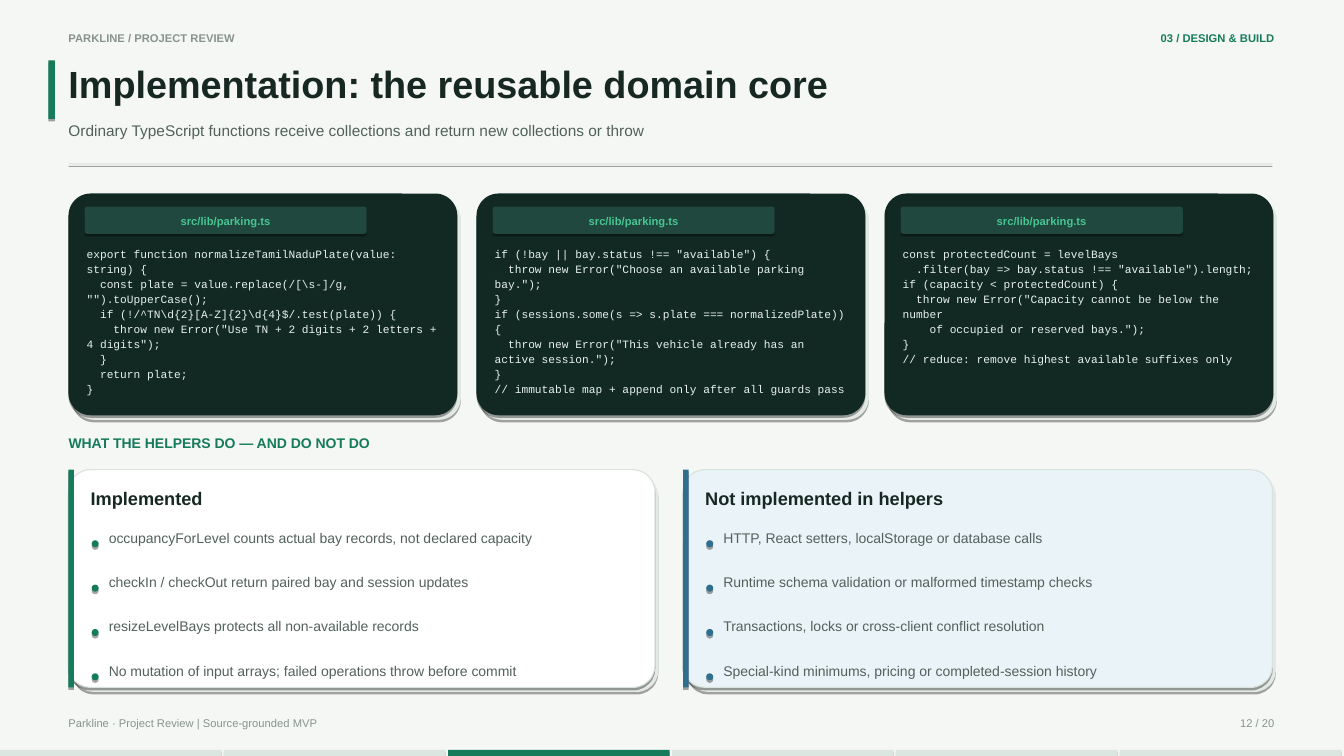
from lxml.etree import SubElement
from pptx import Presentation
from pptx.dml.color import RGBColor
from pptx.enum.shapes import MSO_SHAPE
from pptx.enum.text import MSO_ANCHOR, PP_ALIGN
from pptx.oxml.ns import qn
from pptx.util import Inches, Pt

COLORS = {
    "page": "F5F7F5", "ink": "172823", "body": "52615B", "muted": "88938F",
    "green": "157B5B", "blue": "2E6F8E", "rule": "D9E2DD", "segment": "DCE6E0",
    "backing": "E2E9E4", "white": "FFFFFF", "pale_blue": "EAF3F7",
    "code_panel": "122923", "tab": "21483E", "tab_text": "46C692",
    "code": "E8F1ED", "shadow": "000000",
}
COLUMNS, ROWS = 133.4, 75
LEFT, RIGHT = 6.8, 126.3
CODE_PANELS = [
    r'''export function normalizeTamilNaduPlate(value: string) {
  const plate = value.replace(/[\s-]/g, "").toUpperCase();
  if (!/^TN\d{2}[A-Z]{2}\d{4}$/.test(plate)) {
    throw new Error("Use TN + 2 digits + 2 letters + 4 digits");
  }
  return plate;
}''',
    '''if (!bay || bay.status !== "available") {
  throw new Error("Choose an available parking bay.");
}
if (sessions.some(s => s.plate === normalizedPlate)) {
  throw new Error("This vehicle already has an active session.");
}
// immutable map + append only after all guards pass''',
    '''const protectedCount = levelBays
  .filter(bay => bay.status !== "available").length;
if (capacity < protectedCount) {
  throw new Error("Capacity cannot be below the number
    of occupied or reserved bays.");
}
// reduce: remove highest available suffixes only''',
]
IMPLEMENTED = [
    "occupancyForLevel counts actual bay records, not declared capacity",
    "checkIn / checkOut return paired bay and session updates",
    "resizeLevelBays protects all non-available records",
    "No mutation of input arrays; failed operations throw before commit",
]
NOT_IMPLEMENTED = [
    "HTTP, React setters, localStorage or database calls",
    "Runtime schema validation or malformed timestamp checks",
    "Transactions, locks or cross-client conflict resolution",
    "Special-kind minimums, pricing or completed-session history",
]


def color(name):
    return RGBColor.from_string(COLORS[name])


class SlideBuilder:
    """Draws on one slide; lengths are grid columns and rows of 0.1 inch."""

    cell = Inches(0.1)

    def __init__(self, deck):
        deck.slide_width = self.length(COLUMNS)
        deck.slide_height = self.length(ROWS)
        self.page = deck.slides.add_slide(deck.slide_layouts[6])
        self.page.background.fill.solid()
        self.page.background.fill.fore_color.rgb = color("page")

    def length(self, cells):
        return round(cells * self.cell)

    def place(self, *cells):
        return [self.length(value) for value in cells]

    def text(self, content, left, top, width, height, size=10, ink="body",
             bold=False, font="Arial", align=PP_ALIGN.LEFT,
             anchor=MSO_ANCHOR.TOP, spacing=1.08):
        box = self.page.shapes.add_textbox(*self.place(left, top, width, height))
        frame = box.text_frame
        frame.word_wrap = True
        frame.vertical_anchor = anchor
        frame.margin_left = frame.margin_right = 0
        frame.margin_top = frame.margin_bottom = 0
        for index, line in enumerate(content.split("\n")):
            para = frame.add_paragraph() if index else frame.paragraphs[0]
            para.alignment = align
            para.line_spacing = spacing
            span = para.add_run()
            span.text = line
            span.font.name = font
            span.font.size = Pt(size)
            span.font.bold = bold
            span.font.color.rgb = color(ink)

    def block(self, left, top, width, height, fill,
              kind=MSO_SHAPE.RECTANGLE, line=None):
        shape = self.page.shapes.add_shape(
            kind, *self.place(left, top, width, height))
        if kind == MSO_SHAPE.ROUNDED_RECTANGLE:
            shape.adjustments[0] = 0.1
        shape.fill.solid()
        shape.fill.fore_color.rgb = color(fill)
        if line:
            shape.line.color.rgb = color(line)
            shape.line.width = Pt(0.79)
        else:
            shape.line.fill.background()
        self.cast_shadow(shape)

    def cast_shadow(self, shape):
        """Give the shape a hard shadow straight below it."""
        shape.shadow.inherit = False
        effects = shape._element.spPr.find(qn("a:effectLst"))
        shadow = SubElement(effects, qn("a:outerShdw"), blurRad="0",
                            dist=str(Pt(1.8)), dir="5400000", rotWithShape="0")
        tint = SubElement(shadow, qn("a:srgbClr"), val=COLORS["shadow"])
        SubElement(tint, qn("a:alpha"), val="35000")

    def card(self, left, top, width, height, fill, line=None):
        """Rounded panel over an offset backing panel."""
        rounded = MSO_SHAPE.ROUNDED_RECTANGLE
        self.block(left + 0.35, top + 0.45, width, height, "backing", rounded)
        self.block(left, top, width, height, fill, rounded, line)

    def code_card(self, code, left, top, width):
        self.card(left, top, width, 22, "code_panel")
        self.block(left + 1.6, top + 1.3, 28, 2.7, "tab",
                   MSO_SHAPE.ROUNDED_RECTANGLE)
        self.text("src/lib/parking.ts", left + 2.4, top + 1.3, 26.4, 2.7,
                  size=8, ink="tab_text", bold=True, align=PP_ALIGN.CENTER,
                  anchor=MSO_ANCHOR.MIDDLE)
        self.text(code, left + 1.8, top + 5.2, width - 3.6, 15.6, size=8,
                  ink="code", font="Courier New", spacing=1.12)

    def list_card(self, title, items, left, top, width, fill, accent):
        self.card(left, top, width, 21.6, fill, "rule")
        self.block(left, top, 0.55, 21.6, accent)
        self.text(title, left + 2.2, top + 1.6, width - 4.2, 3.4,
                  size=13, ink="ink", bold=True)
        for index, item in enumerate(items):
            row = top + 5.8 + 4.4 * index
            self.block(left + 2.3, row + 1.2, 0.7, 0.7, accent, MSO_SHAPE.OVAL)
            self.text(item, left + 4, row, width - 6.2, 4.1, spacing=1.05)

    def progress(self, count, current):
        step = COLUMNS / count
        for index in range(count):
            fill = "green" if index == current else "segment"
            self.block(index * step, 74.4, step - 0.23, 0.6, fill)


def main():
    deck = Presentation()
    slide = SlideBuilder(deck)
    slide.text("PARKLINE / PROJECT REVIEW", LEFT, 3, 40, 2,
               size=8, ink="muted", bold=True)
    slide.text("03 / DESIGN & BUILD", 94, 3, 32.5, 2, size=8, ink="green",
               bold=True, align=PP_ALIGN.RIGHT)
    slide.block(4.8, 6, 0.65, 5.8, "green")
    slide.text("Implementation: the reusable domain core", LEFT, 5.7, 119, 6.2,
               size=27, ink="ink", bold=True)
    slide.text("Ordinary TypeScript functions receive collections and return "
               "new collections or throw", LEFT, 11.9, 119, 3.2, size=11)
    slide.block(LEFT, 16.2, RIGHT - LEFT, 0.12, "rule")

    for index, code in enumerate(CODE_PANELS):
        slide.code_card(code, LEFT + 40.5 * index, 19.2, 38.6)

    slide.text("WHAT THE HELPERS DO — AND DO NOT DO", LEFT, 43, RIGHT - LEFT, 3,
               ink="green", bold=True)
    slide.list_card("Implemented", IMPLEMENTED, LEFT, 46.6, 58.2,
                    "white", "green")
    slide.list_card("Not implemented in helpers", NOT_IMPLEMENTED, 67.8, 46.6,
                    58.5, "pale_blue", "blue")

    slide.text("Parkline · Project Review | Source-grounded MVP", LEFT, 71, 68, 2,
               size=8, ink="muted")
    slide.text("12 / 20", 112.5, 71, 14, 2, size=8, ink="muted",
               align=PP_ALIGN.RIGHT)
    slide.progress(count=6, current=2)
    deck.save("out.pptx")


if __name__ == "__main__":
    main()
